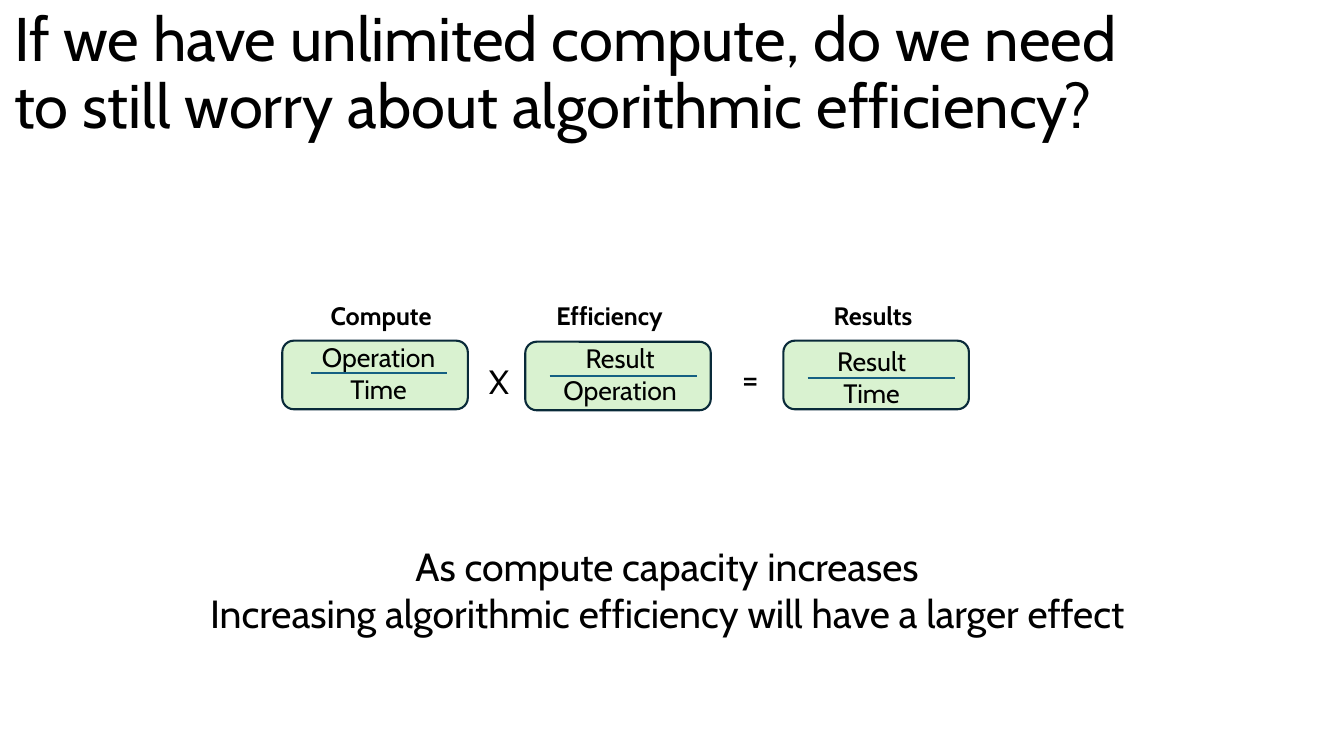
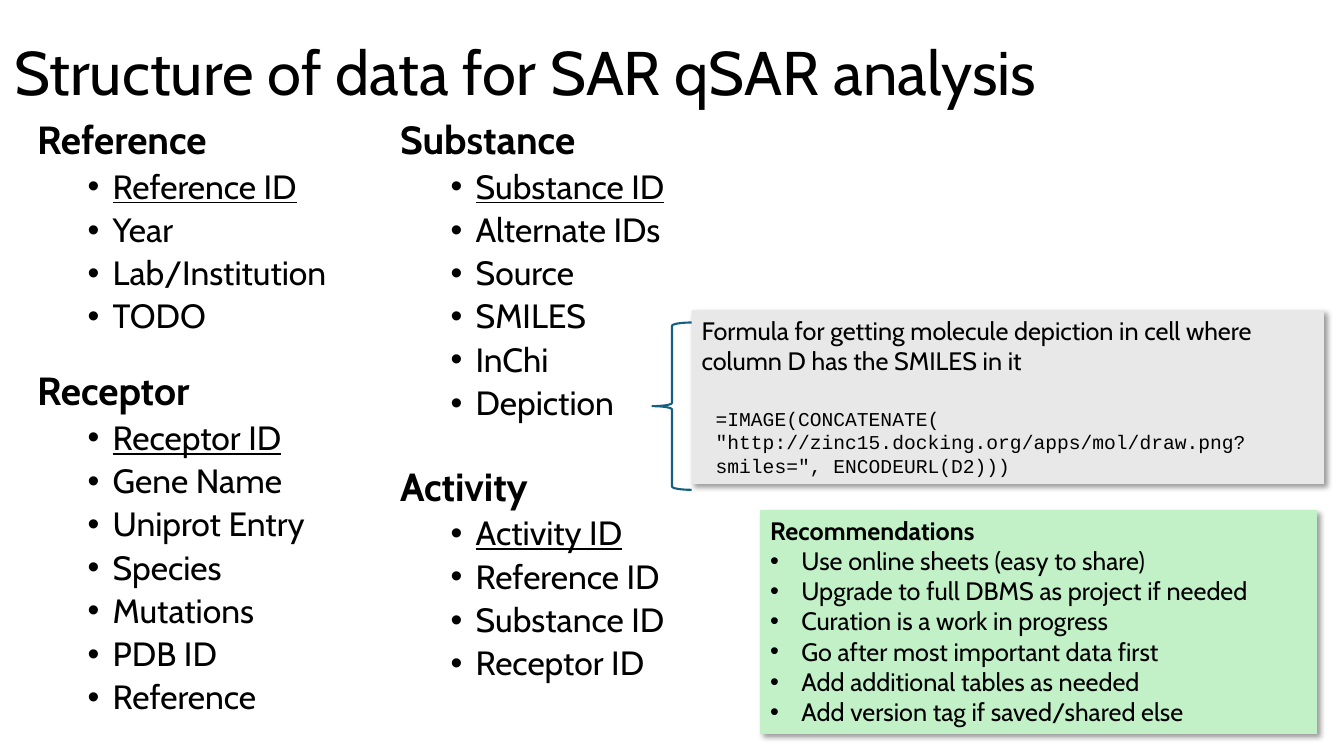
from dataclasses import dataclass, field
from lxml import etree
from pptx import Presentation, util as u
from pptx.dml import color
from pptx.enum import shapes, text
from pptx.oxml import ns


@dataclass(frozen=True)
class Theme:
    font: str = "Cabin"
    code_font: str = "Courier New"
    ink: str = "000000"
    box_fill: str = "D9F2D0"
    box_line: str = "092A39"
    rule: str = "156082"
    note_green: str = "C2F1C8"
    note_grey: str = "E8E8E8"
    title: int = 44
    head: int = 28
    item: int = 24
    fraction: int = 19
    label: int = 18
    code: int = 14
    line: float = 1.5


THEME = Theme()
CENTER = text.PP_ALIGN.CENTER


@dataclass
class Line:
    """One paragraph: its words, font values, paragraph values and indents."""
    words: str
    font: dict = field(default_factory=dict)
    layout: dict = field(default_factory=dict)
    margin: float = 0
    bullet: bool = False


def apply(target, values):
    for name, value in values.items():
        setattr(target, name, value)


def rgb(value):
    return color.RGBColor.from_string(value)


class Deck:
    def __init__(self, theme):
        self.theme = theme
        self.deck = Presentation()
        apply(self.deck, {"slide_width": u.Inches(13.33), "slide_height": u.Inches(7.5)})
        self.page = None

    # Text
    def fill_text(self, shape, lines, wrap=True, anchor=text.MSO_ANCHOR.TOP):
        frame = shape.text_frame
        apply(frame, {"word_wrap": wrap, "vertical_anchor": anchor,
                      "auto_size": text.MSO_AUTO_SIZE.NONE})
        for index, line in enumerate(lines):
            para = frame.add_paragraph() if index else frame.paragraphs[0]
            if line.margin:
                props = para._p.get_or_add_pPr()
                props.set("marL", str(u.Inches(line.margin)))
                props.set("indent", "0")
            if line.bullet:
                hang = 0.31 if line.margin < 0.5 else 0.25
                props.set("indent", str(-u.Inches(hang)))
                etree.SubElement(props, ns.qn("a:buFont"), typeface="Arial")
                etree.SubElement(props, ns.qn("a:buChar"), char="•")
            apply(para, {"alignment": text.PP_ALIGN.LEFT, **line.layout})
            span = para.add_run()
            span.text = line.words
            apply(span.font, {"name": self.theme.font, **line.font})
            span.font.color.rgb = rgb(self.theme.ink)

    def add_page(self, title):
        self.page = self.deck.slides.add_slide(self.deck.slide_layouts[5])
        box = self.page.shapes.title
        apply(box, {"left": u.Inches(0.04), "top": u.Inches(0.02),
                    "width": u.Inches(11.5), "height": u.Inches(1.45)})
        line = Line(title, {"size": u.Pt(self.theme.title)}, {"line_spacing": 0.9})
        self.fill_text(box, [line], anchor=text.MSO_ANCHOR.MIDDLE)

    def add_text(self, place, lines, wrap=False):
        box = self.page.shapes.add_textbox(*map(u.Inches, place))
        self.fill_text(box, lines, wrap)

    # Shapes
    def add_shape(self, kind, place, fill=None, line=None):
        shape = self.page.shapes.add_shape(kind, *map(u.Inches, place))
        shape.shadow.inherit = False
        if fill:
            shape.fill.solid()
            shape.fill.fore_color.rgb = rgb(fill)
        else:
            shape.fill.background()
        if line:
            shape.line.color.rgb = rgb(line)
            shape.line.width = u.Pt(self.theme.line)
        else:
            shape.line.fill.background()
        return shape

    def add_note(self, place, fill, lines):
        note = self.add_shape(shapes.MSO_SHAPE.RECTANGLE, place, fill)
        effects = note._element.spPr.find(ns.qn("a:effectLst"))
        shadow = etree.SubElement(
            effects, ns.qn("a:outerShdw"), blurRad=str(u.Pt(4)), dist=str(u.Pt(3)),
            dir=str(45 * 60000), algn="tl", rotWithShape="0")
        shade = etree.SubElement(shadow, ns.qn("a:srgbClr"), val=self.theme.ink)
        etree.SubElement(shade, ns.qn("a:alpha"), val="40000")
        self.fill_text(note, lines)

    def add_rule(self, left, right, y):
        rule = self.page.shapes.add_connector(
            shapes.MSO_CONNECTOR.STRAIGHT, *map(u.Inches, (left, y, right, y)))
        rule.line.color.rgb = rgb(self.theme.rule)
        rule.line.width = u.Pt(self.theme.line)
        etree.SubElement(rule._element.spPr, ns.qn("a:effectLst"))

    # Text groups
    def add_fraction(self, label, label_place, box_place, parts, parts_place, rule):
        self.add_shape(shapes.MSO_SHAPE.ROUNDED_RECTANGLE, box_place,
                       self.theme.box_fill, self.theme.box_line)
        self.add_text(label_place, [Line(label, {"size": u.Pt(self.theme.label), "bold": True})])
        size = {"size": u.Pt(self.theme.fraction)}
        self.add_text(parts_place, [Line(part, size, {"alignment": CENTER}) for part in parts])
        self.add_rule(*rule)

    def add_fields(self, place, groups, gap):
        """Column of record types; the first field of each is its underlined key."""
        lines = []
        for name, fields in groups.items():
            layout = {"line_spacing": 0.9}
            if lines:
                layout["space_before"] = u.Pt(gap)
            lines.append(Line(name, {"size": u.Pt(self.theme.head), "bold": True}, layout))
            for index, entry in enumerate(fields):
                font = {"size": u.Pt(self.theme.item), "underline": index == 0}
                layout = {"line_spacing": 0.9, "space_before": u.Pt(5)}
                lines.append(Line(entry, font, layout, 0.75, True))
        self.add_text(place, lines, wrap=True)


def build_efficiency(deck):
    deck.add_page("If we have unlimited compute, do we need to still worry about "
                  "algorithmic efficiency?")

    # Equation
    fractions = [
        ("Compute", (3.18, 2.93, 1.38, 0.44), (2.8, 3.38, 1.84, 0.68),
         ("Operation", "Time"), (3.08, 3.33, 1.35, 0.74), (3.08, 4.43, 3.7)),
        ("Efficiency", (5.42, 2.93, 1.45, 0.44), (5.21, 3.39, 1.84, 0.68),
         ("Result", "Operation"), (5.45, 3.34, 1.4, 0.77), (5.45, 6.91, 3.73)),
        ("Results", (8.17, 2.93, 1.16, 0.44), (7.77, 3.38, 1.84, 0.68),
         ("Result", "Time"), (8.16, 3.37, 0.97, 0.77), (8.01, 9.47, 3.75)),
    ]
    for fraction in fractions:
        deck.add_fraction(*fraction)
    for sign, left, top in (("X", 4.75, 3.53), ("=", 7.26, 3.5)):
        deck.add_text((left, top, 0.39, 0.5), [Line(sign, {"size": u.Pt(THEME.item)})])

    # Conclusion
    conclusion = ("As compute capacity increases",
                  "Increasing algorithmic efficiency will have a larger effect")
    deck.add_text((1.81, 5.33, 9.61, 1.04),
                  [Line(words, {"size": u.Pt(THEME.head)}, {"alignment": CENTER})
                   for words in conclusion])


def build_structure(deck):
    deck.add_page("Structure of data for SAR qSAR analysis")

    # Record types
    deck.add_fields((0.27, 1.15, 3.6, 6.33), {
        "Reference": ["Reference ID", "Year", "Lab/Institution", "TODO"],
        "Receptor": ["Receptor ID", "Gene Name", "Uniprot Entry", "Species",
                     "Mutations", "PDB ID", "Reference"],
    }, gap=25.5)
    deck.add_fields((3.87, 1.15, 3.6, 6.33), {
        "Substance": ["Substance ID", "Alternate IDs", "Source", "SMILES",
                      "InChi", "Depiction"],
        "Activity": ["Activity ID", "Reference ID", "Substance ID", "Receptor ID"],
    }, gap=32)

    # Recommendations
    label = {"size": u.Pt(THEME.label)}
    advice = ["Use online sheets (easy to share)",
              "Upgrade to full DBMS as project if needed",
              "Curation is a work in progress",
              "Go after most important data first",
              "Add additional tables as needed",
              "Add version tag if saved/shared else"]
    deck.add_note((7.54, 5.06, 5.52, 2.22), THEME.note_green,
                  [Line("Recommendations", {**label, "bold": True})]
                  + [Line(words, label, margin=0.31, bullet=True) for words in advice])

    # Formula
    code = {"size": u.Pt(THEME.code), "name": THEME.code_font}
    deck.add_note((6.86, 3.08, 6.27, 1.72), THEME.note_grey, [
        Line("Formula for getting molecule depiction in cell where column D "
             "has the SMILES in it", label),
        Line("=IMAGE(CONCATENATE(", code, {"space_before": u.Pt(22)}, 0.14),
        Line('"http://zinc15.docking.org/apps/mol/draw.png?smiles=", ENCODEURL(D2)))',
             code, margin=0.14),
    ])
    deck.add_shape(shapes.MSO_SHAPE.LEFT_BRACE, (6.47, 3.2, 0.39, 1.66), line=THEME.rule)


def main():
    slides = Deck(THEME)
    build_efficiency(slides)
    build_structure(slides)
    slides.deck.save("out.pptx")


if __name__ == "__main__":
    main()
